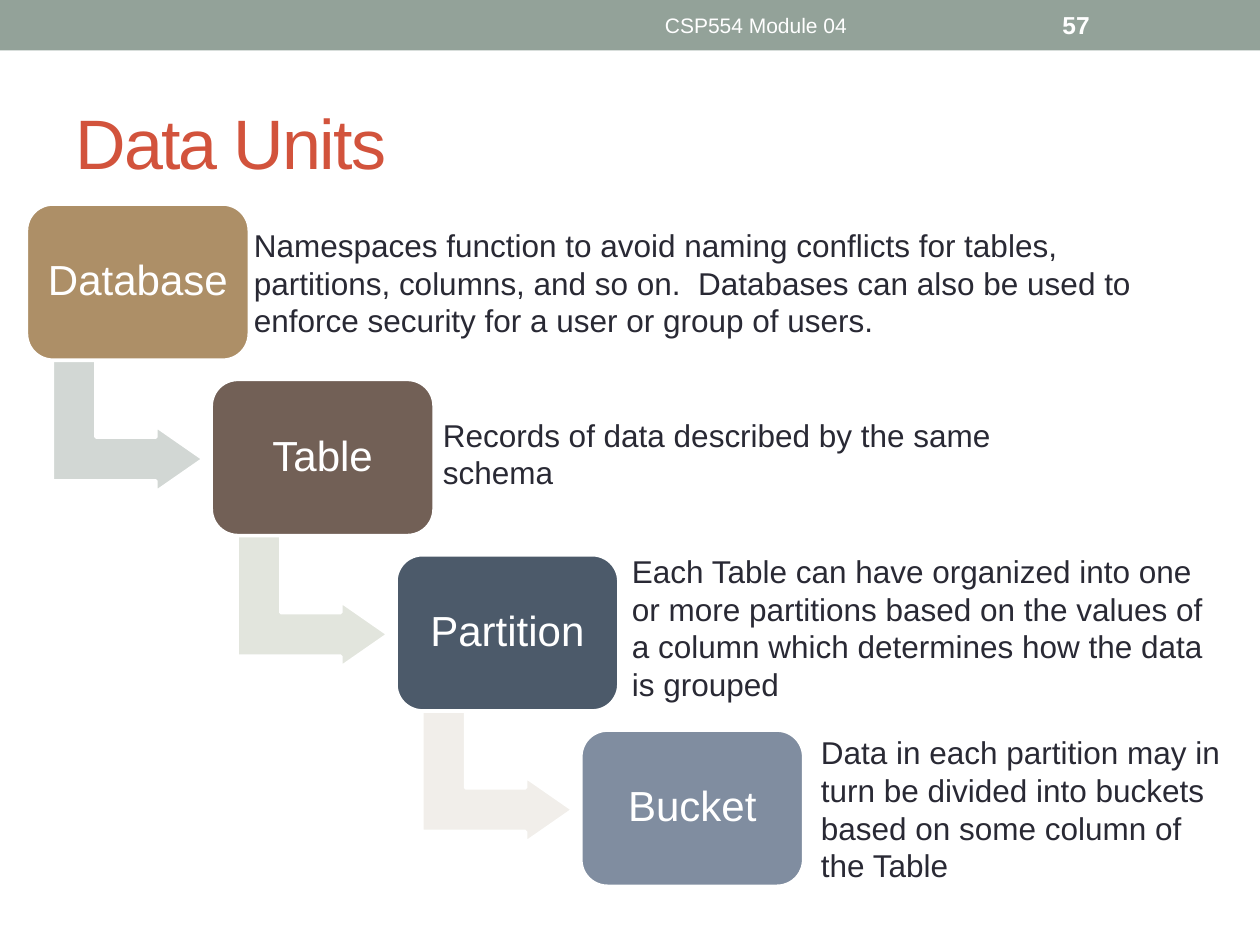
from dataclasses import dataclass

from pptx import Presentation
from pptx.dml.color import RGBColor
from pptx.enum.shapes import MSO_SHAPE
from pptx.enum.text import MSO_ANCHOR, PP_ALIGN
from pptx.util import Pt

RECT = MSO_SHAPE.RECTANGLE
ROUND = MSO_SHAPE.ROUNDED_RECTANGLE
BENT = MSO_SHAPE.BENT_UP_ARROW
TOP, MIDDLE = MSO_ANCHOR.TOP, MSO_ANCHOR.MIDDLE
LEFT, CENTER = PP_ALIGN.LEFT, PP_ALIGN.CENTER

FONT = "Arial"
WHITE = "FFFFFF"
INK = "292934"
STEP_X, STEP_Y = 105.6, 100.2
BOX_X, BOX_Y = 15.1, 116.6
ARROW_X, ARROW_Y = 35.3, 200.2
INDENT = 36


@dataclass
class Area:
    x: float
    y: float
    w: float
    h: float

    def emu(self) -> tuple:
        return Pt(self.x), Pt(self.y), Pt(self.w), Pt(self.h)


@dataclass
class Unit:
    name: str
    fill: str
    arrow: str | None
    note: str
    area: Area
    level: int


UNITS = [
    Unit("Database", "AD8F67", "D2D7D4",
         "Namespaces function to avoid naming conflicts for tables, "
         "partitions, columns, and so on.  Databases can also be used to "
         "enforce security for a user or group of users.",
         Area(102, 125.5, 576, 72.7), 1),
    Unit("Table", "726056", "E2E5DD",
         "Records of data described by the same schema",
         Area(246, 234, 360, 50.9), 0),
    Unit("Partition", "4C5A6A", "F1EEEA",
         "Each Table can have organized into one or more partitions based on "
         "the values of a column which determines how the data is grouped",
         Area(318, 311.8, 378, 94.5), 1),
    Unit("Bucket", "808DA0", None,
         "Data in each partition may in turn be divided into buckets based on "
         "some column of the Table",
         Area(426, 415.4, 281, 94.5), 1),
]


def color(code: str) -> RGBColor:
    return RGBColor.from_string(code)


def write(shape, text: str, size: float, ink: str, align=LEFT, anchor=MIDDLE):
    frame = shape.text_frame
    frame.word_wrap = True
    frame.vertical_anchor = anchor
    frame.text = text
    para = frame.paragraphs[0]
    para.alignment = align
    font = para.runs[0].font
    font.name = FONT
    font.size = Pt(size)
    font.color.rgb = color(ink)
    return para


def add_text(slide, area: Area, text: str, size: float, ink: str,
             align=LEFT, anchor=MIDDLE):
    box = slide.shapes.add_textbox(*area.emu())
    return write(box, text, size, ink, align, anchor)


def add_block(slide, kind, area: Area, fill: str, edge: bool = True):
    block = slide.shapes.add_shape(kind, *area.emu())
    block.shadow.inherit = False
    block.fill.solid()
    block.fill.fore_color.rgb = color(fill)
    if edge:
        block.line.color.rgb = color(WHITE)
        block.line.width = Pt(2.08)
    else:
        block.line.fill.background()
    return block


def add_arrow(slide, row: int, fill: str) -> None:
    area = Area(ARROW_X + row * STEP_X, ARROW_Y + row * STEP_Y, 75.6, 86.4)
    arrow = add_block(slide, BENT, area, fill)
    arrow.rotation = 90
    for slot, ratio in enumerate((0.33, 0.25, 0.36)):
        arrow.adjustments[slot] = ratio


def add_unit(slide, row: int, unit: Unit) -> None:
    if unit.arrow:
        add_arrow(slide, row, unit.arrow)
    area = Area(BOX_X + row * STEP_X, BOX_Y + row * STEP_Y, 127.4, 89.3)
    box = add_block(slide, ROUND, area, unit.fill)
    box.adjustments[0] = 0.17
    para = write(box, unit.name, 24, WHITE, CENTER)
    para.line_spacing = 0.9


def add_note(slide, unit: Unit) -> None:
    para = add_text(slide, unit.area, unit.note, 18, INK, anchor=TOP)
    if unit.level:
        para.level = unit.level
        props = para._p.get_or_add_pPr()
        props.set("marL", str(Pt(INDENT * unit.level)))
        props.set("indent", "0")


def main() -> None:
    deck = Presentation()
    deck.slide_width, deck.slide_height = Pt(720), Pt(540)
    slide = deck.slides.add_slide(deck.slide_layouts[6])

    add_block(slide, RECT, Area(0, 0, 720, 28.8), "93A299", edge=False)
    title = add_text(slide, Area(36, 42, 648, 78), "Data Units", 40, "D2533C")
    title.runs[0].font._element.set("spc", "-100")
    add_text(slide, Area(270, 1.4, 324, 26), "CSP554 Module 04", 12, WHITE, CENTER)
    page = add_text(slide, Area(600, 1.4, 84, 26), "57", 14, WHITE)
    page.runs[0].font.bold = True

    for row, unit in enumerate(UNITS):
        add_unit(slide, row, unit)
    for unit in UNITS:
        add_note(slide, unit)

    deck.save("out.pptx")


if __name__ == "__main__":
    main()
